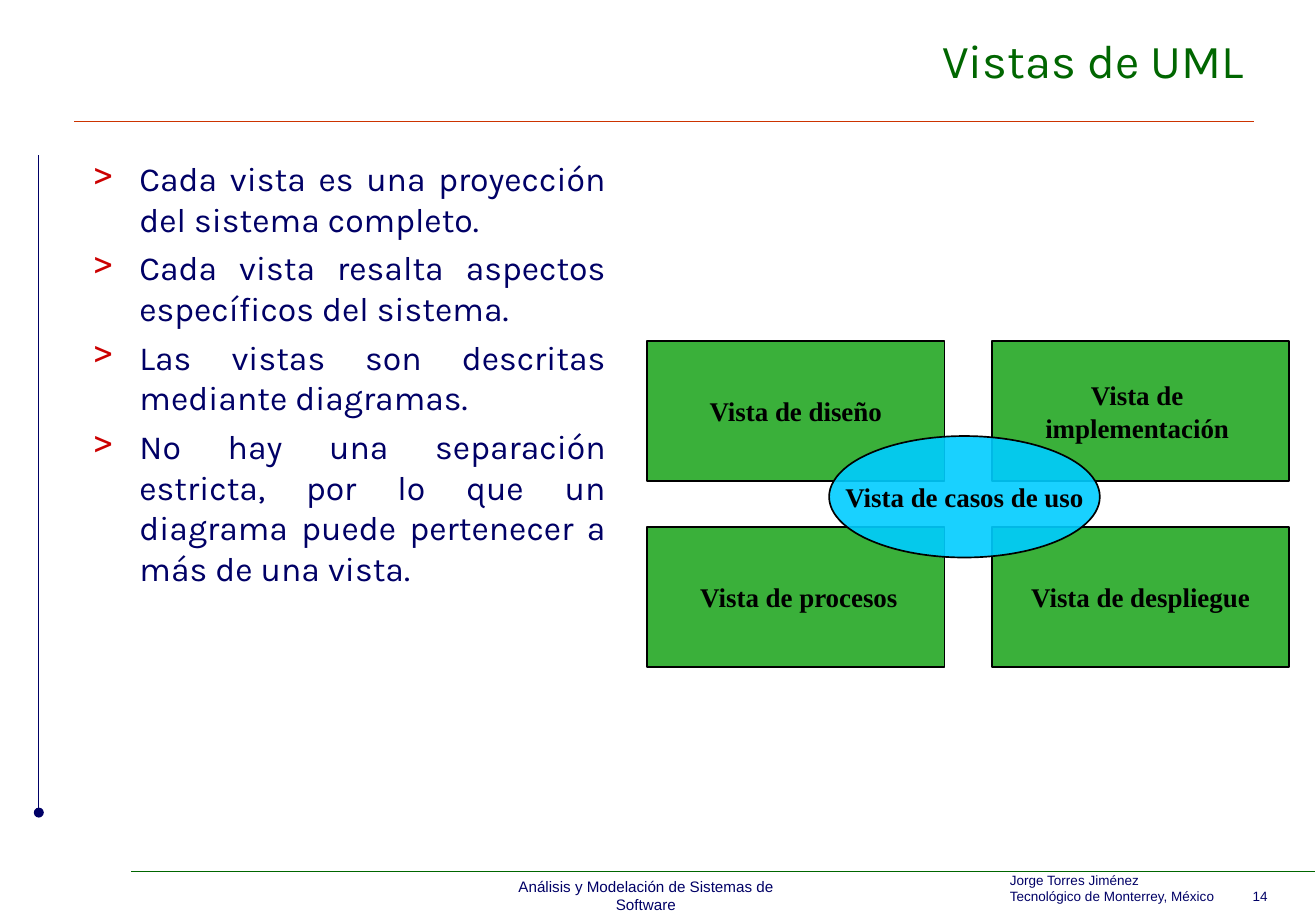
from lxml.etree import SubElement
from pptx import Presentation
from pptx.dml.color import RGBColor
from pptx.enum.shapes import MSO_CONNECTOR, MSO_SHAPE
from pptx.enum.text import MSO_ANCHOR, PP_ALIGN
from pptx.oxml.ns import qn
from pptx.util import Inches, Pt

NAVY = RGBColor(0x00, 0x00, 0x66)
DARK_GREEN = RGBColor(0x00, 0x66, 0x00)
RED = RGBColor(0xCC, 0x00, 0x00)
RUST = RGBColor(0xCC, 0x33, 0x00)
GREEN = RGBColor(0x3A, 0xB0, 0x3A)
CYAN = RGBColor(0x00, 0xCC, 0xFF)
BLACK = RGBColor(0x00, 0x00, 0x00)

TITLE_FONT = {"name": "Karla", "size": Pt(28)}
BODY_FONT = {"name": "Karla", "size": Pt(20)}
AUTHOR_FONT = {"name": "Arial", "size": Pt(8)}
COURSE_FONT = {"name": "Arial", "size": Pt(9)}
VIEW_FONT = {"name": "Times New Roman", "size": Pt(16), "bold": True}

STATEMENTS = [
    "Cada vista es una proyección del sistema completo.",
    "Cada vista resalta aspectos específicos del sistema.",
    "Las vistas son descritas mediante diagramas.",
    "No hay una separación estricta, por lo que un diagrama puede "
    "pertenecer a más de una vista.",
]
VIEWS = [
    ["Vista de diseño", "Vista de \nimplementación "],
    [" Vista de procesos", "Vista de despliegue"],
]
VIEW_LEFT, VIEW_TOP = 5.33, 2.81
COLUMN_STEP, ROW_STEP = 2.84, 1.53
VIEW_WIDTH, VIEW_HEIGHT = 2.45, 1.15


def apply_format(target, values):
    """Set every attribute named in values on target."""
    for attribute, value in values.items():
        setattr(target, attribute, value)


def fill_text(frame, text, font_values, color, align, **frame_values):
    """Write the text into the frame and format its paragraphs and runs."""
    frame.text = text
    apply_format(frame, frame_values)
    for paragraph in frame.paragraphs:
        paragraph.alignment = align
        for run in paragraph.runs:
            apply_format(run.font, font_values)
            run.font.color.rgb = color


def add_text(slide, box, text, font_values, color, align, **frame_values):
    """Add a text box and return its text frame."""
    frame = slide.shapes.add_textbox(*map(Inches, box)).text_frame
    values = {"word_wrap": True, **frame_values}
    fill_text(frame, text, font_values, color, align, **values)
    return frame


def add_rule(slide, start, end, color, width, tail=None):
    """Add a straight line, with an optional end mark."""
    rule = slide.shapes.add_connector(
        MSO_CONNECTOR.STRAIGHT, *map(Inches, start + end))
    rule.line.color.rgb = color
    rule.line.width = Pt(width)
    if tail:
        SubElement(rule.line._get_or_add_ln(), qn("a:tailEnd"), type=tail)
    SubElement(rule._element.spPr, qn("a:effectLst"))


def add_view(slide, kind, box, text, color, opacity=100):
    """Add one labelled view of the diagram."""
    view = slide.shapes.add_shape(kind, *map(Inches, box))
    view.shadow.inherit = False
    view.fill.solid()
    view.fill.fore_color.rgb = color
    view.line.color.rgb = BLACK
    view.line.width = Pt(1)
    if opacity < 100:
        fill_color = view._element.spPr.find(qn("a:solidFill"))[0]
        SubElement(fill_color, qn("a:alpha"), val=str(opacity * 1000))
    fill_text(view.text_frame, text, VIEW_FONT, BLACK, PP_ALIGN.CENTER,
              word_wrap=False, vertical_anchor=MSO_ANCHOR.MIDDLE)


def add_bullets(frame, mark, color, indent):
    """Give each paragraph a coloured mark, a hanging indent and a gap."""
    for index, paragraph in enumerate(frame.paragraphs):
        properties = paragraph._p.get_or_add_pPr()
        properties.set("marL", str(indent))
        properties.set("indent", str(-indent))
        bullet_color = SubElement(properties, qn("a:buClr"))
        SubElement(bullet_color, qn("a:srgbClr"), val=str(color))
        SubElement(properties, qn("a:buChar"), char=mark)
        paragraph.space_before = Pt(5 if index else 0)


def add_tab_stop(paragraph, position):
    """Add a left tab stop to the paragraph."""
    stops = SubElement(paragraph._p.get_or_add_pPr(), qn("a:tabLst"))
    SubElement(stops, qn("a:tab"), pos=str(position), algn="l")


def add_frame(slide):
    """Add the rules and the footer."""
    add_rule(slide, (0.61, 1), (10.33, 1), RUST, 0.5)
    add_rule(slide, (1.08, 7.17), (10.83, 7.17), DARK_GREEN, 0.25)
    add_rule(slide, (0.32, 1.28), (0.32, 6.69), NAVY, 0.75, "oval")
    author = add_text(
        slide, (8.22, 7.13, 2.56, 0.37),
        "Jorge Torres Jiménez\nTecnológico de Monterrey, México\t14",
        AUTHOR_FONT, NAVY, PP_ALIGN.LEFT)
    add_tab_stop(author.paragraphs[1], Inches(2))
    add_text(slide, (3.91, 7.17, 2.82, 0.25),
             "Análisis y Modelación de Sistemas de Software",
             COURSE_FONT, NAVY, PP_ALIGN.CENTER, word_wrap=False)


def add_diagram(slide):
    """Add the four views and the use case view over their centre."""
    for row, labels in enumerate(VIEWS):
        for column, label in enumerate(labels):
            box = (VIEW_LEFT + column * COLUMN_STEP,
                   VIEW_TOP + row * ROW_STEP, VIEW_WIDTH, VIEW_HEIGHT)
            add_view(slide, MSO_SHAPE.RECTANGLE, box, label, GREEN)
    add_view(slide, MSO_SHAPE.OVAL, (6.83, 3.59, 2.23, 1),
             "Vista de casos de uso", CYAN, 90)


def main():
    """Build the slide and save it."""
    deck = Presentation()
    apply_format(deck, {"slide_width": Inches(10.84),
                        "slide_height": Inches(7.5)})
    slide = deck.slides.add_slide(deck.slide_layouts[6])
    add_frame(slide)
    add_text(slide, (0.67, 0.08, 9.67, 0.83), "Vistas de UML", TITLE_FONT,
             DARK_GREEN, PP_ALIGN.RIGHT, vertical_anchor=MSO_ANCHOR.MIDDLE)
    statements = add_text(slide, (0.67, 1.25, 4.42, 5.75),
                          "\n".join(STATEMENTS), BODY_FONT, NAVY,
                          PP_ALIGN.JUSTIFY)
    add_bullets(statements, ">", RED, Inches(0.38))
    add_diagram(slide)
    deck.save("out.pptx")


if __name__ == "__main__":
    main()
